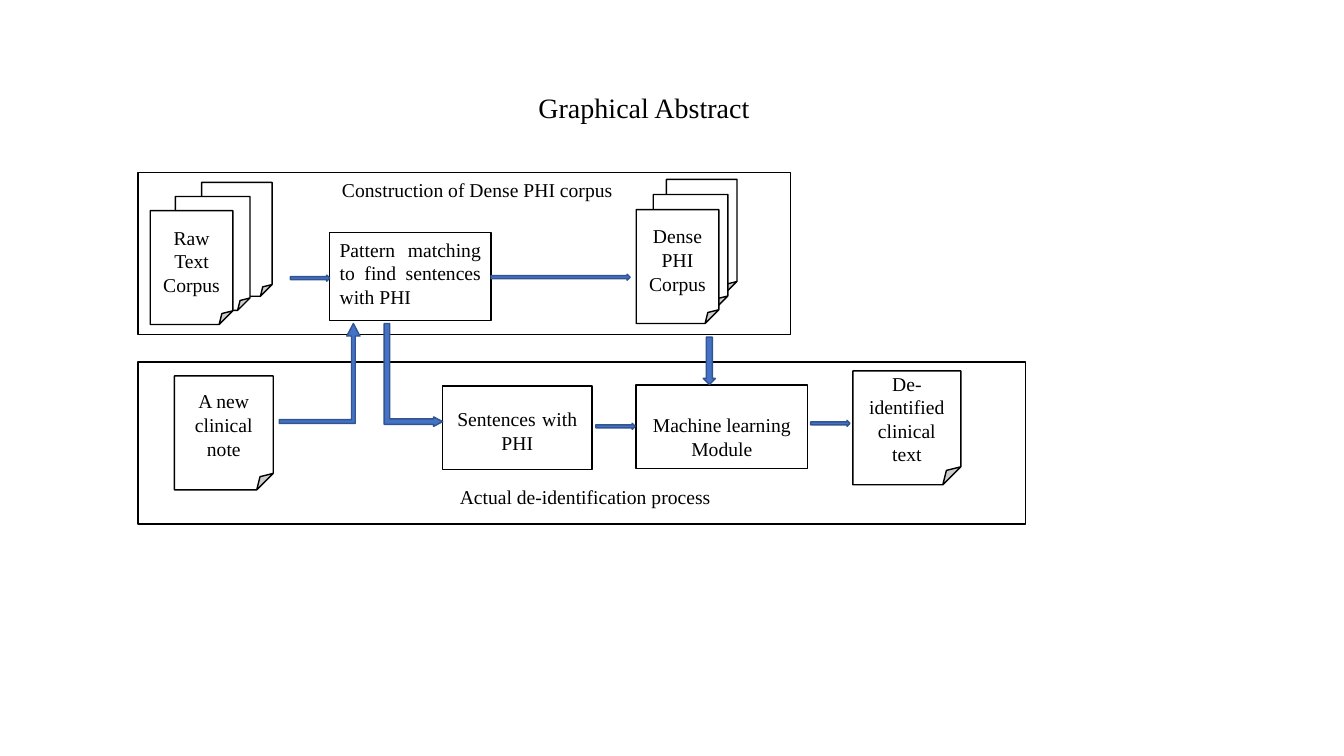
"""Builds the graphical abstract slide of a clinical text de-identification process."""
from dataclasses import dataclass

from pptx import Presentation, util as u
from pptx.dml.color import RGBColor
from pptx.enum import shapes, text
from pptx.shapes.autoshape import Shape
from pptx.slide import Slide
from pptx.text.text import TextFrame

BLACK = RGBColor(0x00, 0x00, 0x00)
WHITE = RGBColor(0xFF, 0xFF, 0xFF)
BLUE = RGBColor(0x44, 0x72, 0xC4)
NAVY = RGBColor(0x32, 0x54, 0x91)

FONT = "Times New Roman"
BODY_SIZE = 14
TITLE_SIZE = 20
CELL = u.Inches(0.1)
SHEET_ROWS = 11.3
SHEET_COLUMNS = (8.2, 7.4, 7.0)
ARROW_ROWS = 0.6
SHORT_ARROW = 3.9

Kind = shapes.MSO_SHAPE
Align = text.PP_ALIGN
Anchor = text.MSO_ANCHOR


@dataclass(frozen=True)
class Area:
    """A rectangle in columns and rows of the grid."""
    column: float
    row: float
    columns: float
    rows: float

    def lengths(self) -> list[u.Length]:
        """Returns left, top, width and height."""
        return [u.Emu(round(n * CELL)) for n in (self.column, self.row, self.columns, self.rows)]


@dataclass(frozen=True)
class Span:
    """A piece of text in one size."""
    words: str
    size: int = BODY_SIZE


@dataclass(frozen=True)
class Block:
    """A white outlined shape with its paragraphs."""
    area: Area
    paras: tuple[tuple[Span, ...], ...] = ()
    kind: Kind = Kind.RECTANGLE
    align: Align = Align.CENTER
    anchor: Anchor = Anchor.MIDDLE
    top_rows: float = 0.5


@dataclass(frozen=True)
class Arrow:
    """A blue block arrow."""
    area: Area
    kind: Kind = Kind.RIGHT_ARROW
    rotation: int = 0
    adjustments: tuple[float, ...] = ()


def line(words: str) -> tuple[tuple[Span, ...], ...]:
    """Returns a single paragraph of body text."""
    return ((Span(words),),)


def sheet(area: Area, words: str = "") -> Block:
    """Describes a document with a folded corner."""
    return Block(area, line(words) if words else (), Kind.FOLDED_CORNER)


def stack(column: float, row: float, shifts: tuple[float, ...], rise: float, words: str) -> list[Block]:
    """Describes a pile of documents from back to front."""
    pile = [sheet(Area(column + shift, row - rise * depth, columns, SHEET_ROWS), "" if depth else words)
            for depth, (shift, columns) in enumerate(zip(shifts, SHEET_COLUMNS))]
    return pile[::-1]


PANELS = [Block(Area(13.7, 17.1, 64.7, 16.1)), Block(Area(13.7, 35.9, 88, 16.1))]
STEPS = [
    Block(Area(32.7, 23.1, 16, 8.7), line("Pattern matching to find sentences with PHI "),
          align=Align.JUSTIFY, anchor=Anchor.TOP),
    Block(Area(63.1, 38.2, 17, 8.3), line("Machine learning") + line("Module"),
          anchor=Anchor.TOP, top_rows=2.8),
    Block(Area(43.9, 38.3, 14.8, 8.3), ((Span("Sentences"), Span(" ", 18), Span("with PHI")),),
          Kind.FLOWCHART_PROCESS),
]
ARROWS = [
    Arrow(Area(48.7, 27.2, 13.8, ARROW_ROWS)),
    Arrow(Area(28.8, 27.3, SHORT_ARROW, ARROW_ROWS)),
    Arrow(Area(59.1, 42, SHORT_ARROW, ARROW_ROWS)),
    Arrow(Area(80.4, 41.7, SHORT_ARROW, ARROW_ROWS)),
    Arrow(Area(27.7, 32.1, 8, 9.9), Kind.BENT_UP_ARROW, 0, (0.046, 0.081, 0.155)),
    Arrow(Area(68, 35.2, 4.7, 1.2), rotation=90),
    Arrow(Area(35.9, 34.3, 10.2, 5.8), Kind.BENT_UP_ARROW, 90, (0.095, 0.081, 0.155)),
]
DOCUMENTS = [
    *stack(14.9, 20.9, (0, 2.5, 5.1), 1.4, "Raw Text Corpus"),
    sheet(Area(17.3, 37.3, 9.8, SHEET_ROWS), "A new clinical note"),
    sheet(Area(84.6, 36.8, 10.7, SHEET_ROWS), "De-identified clinical text"),
    *stack(63.1, 20.8, (0, 1.7, 3), 1.5, "Dense PHI Corpus"),
]
CAPTIONS = [
    (Area(38.8, 47.6, 38.5, 3.4), "Actual de-identification process"),
    (Area(28.1, 17.2, 38.5, 3.4), "Construction of Dense PHI corpus"),
]
TITLE_AREA = Area(50.4, 6.5, 25.1, 8.1)


def write(frame: TextFrame, paras: tuple[tuple[Span, ...], ...], align: Align) -> None:
    """Writes the paragraphs run by run."""
    for index, spans in enumerate(paras):
        para = frame.add_paragraph() if index else frame.paragraphs[0]
        para.alignment = align
        for span in spans:
            run = para.add_run()
            run.text = span.words
            run.font.name = FONT
            run.font.size = u.Pt(span.size)
            run.font.color.rgb = BLACK


def draw_shape(page: Slide, kind: Kind, area: Area, fill: RGBColor, outline: RGBColor) -> Shape:
    """Draws a flat shape with a thin outline."""
    shape = page.shapes.add_shape(kind, *area.lengths())
    shape.shadow.inherit = False
    shape.fill.solid()
    shape.fill.fore_color.rgb = fill
    shape.line.color.rgb = outline
    shape.line.width = u.Pt(1)
    return shape


def draw_block(page: Slide, block: Block) -> None:
    """Draws a white shape and its text."""
    frame = draw_shape(page, block.kind, block.area, WHITE, BLACK).text_frame
    frame.word_wrap = True
    frame.vertical_anchor = block.anchor
    frame.margin_top = u.Emu(round(block.top_rows * CELL))
    write(frame, block.paras, block.align)


def draw_arrow(page: Slide, arrow: Arrow) -> None:
    """Draws a blue arrow."""
    shape = draw_shape(page, arrow.kind, arrow.area, BLUE, NAVY)
    shape.rotation = arrow.rotation
    for index, value in enumerate(arrow.adjustments):
        shape.adjustments[index] = value


def draw_caption(page: Slide, area: Area, words: str) -> None:
    """Draws a centred panel caption."""
    frame = page.shapes.add_textbox(*area.lengths()).text_frame
    frame.word_wrap = True
    frame.auto_size = text.MSO_AUTO_SIZE.SHAPE_TO_FIT_TEXT
    write(frame, line(words), Align.CENTER)


def draw_title(page: Slide, words: str) -> None:
    """Places and formats the title placeholder."""
    title = page.shapes.title
    title.left, title.top, title.width, title.height = TITLE_AREA.lengths()
    frame = title.text_frame
    frame.margin_left, frame.margin_top = u.Inches(0.3), u.Inches(0.24)
    frame.margin_right, frame.margin_bottom = u.Inches(0.1), u.Inches(0.23)
    frame.word_wrap = False
    frame.auto_size = text.MSO_AUTO_SIZE.SHAPE_TO_FIT_TEXT
    frame.vertical_anchor = Anchor.MIDDLE
    write(frame, ((Span(words, TITLE_SIZE),),), Align.LEFT)


def main() -> None:
    """Builds and saves the deck."""
    deck = Presentation()
    deck.slide_width, deck.slide_height = u.Inches(13.33), u.Inches(7.5)
    page = deck.slides.add_slide(deck.slide_layouts.get_by_name("Title Only"))
    draw_title(page, "Graphical Abstract")
    for block in PANELS + STEPS:
        draw_block(page, block)
    for arrow in ARROWS:
        draw_arrow(page, arrow)
    for document in DOCUMENTS:
        draw_block(page, document)
    for area, words in CAPTIONS:
        draw_caption(page, area, words)
    deck.save("out.pptx")


if __name__ == "__main__":
    main()
